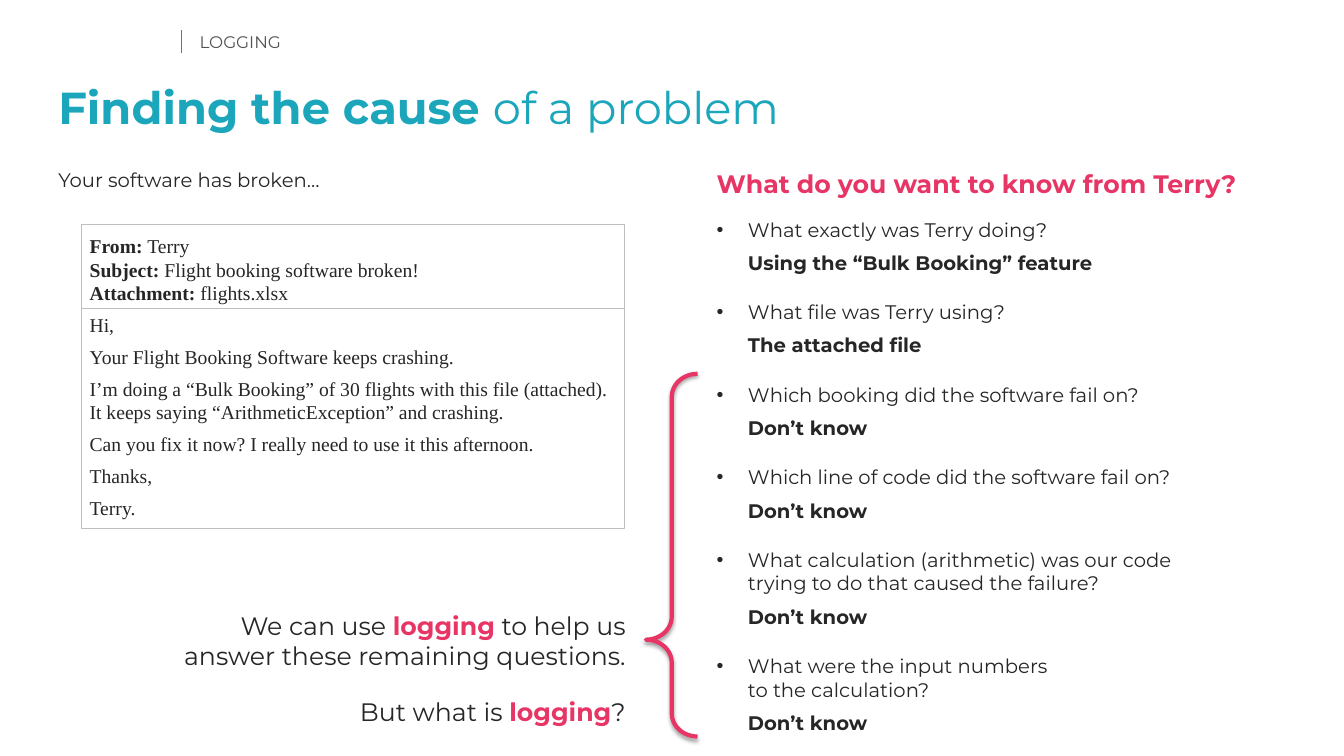
from dataclasses import dataclass

from lxml import etree
from pptx import Presentation
from pptx.dml.color import RGBColor
from pptx.enum.shapes import MSO_CONNECTOR, MSO_SHAPE
from pptx.enum.text import MSO_ANCHOR, MSO_AUTO_SIZE, PP_ALIGN
from pptx.oxml import parse_xml
from pptx.oxml.ns import nsdecls, qn
from pptx.util import Cm, Pt

LEFT, RIGHT = PP_ALIGN.LEFT, PP_ALIGN.RIGHT
TOP, MIDDLE = MSO_ANCHOR.TOP, MSO_ANCHOR.MIDDLE
NO_FIT = MSO_AUTO_SIZE.NONE
STRAIGHT = MSO_CONNECTOR.STRAIGHT
RECT, BRACE = MSO_SHAPE.RECTANGLE, MSO_SHAPE.LEFT_BRACE


@dataclass(frozen=True)
class Theme:
    """Fonts, colours and type sizes of the slide."""
    sans: str = "Montserrat"
    serif: str = "Times New Roman"
    text: str = "262626"
    muted: str = "535353"
    teal: str = "1BA6BC"
    rule: str = "1396AE"
    pink: str = "E73565"
    border: str = "BFBFBF"
    title: int = 32
    large: int = 18
    body: int = 14
    small: int = 12


T = Theme()

EMAIL = [
    ("**From:** Terry", 0),
    ("**Subject:** Flight booking software broken!", 0),
    ("**Attachment:** flights.xlsx", 6),
    ("Hi,", 6),
    ("Your Flight Booking Software keeps crashing.", 6),
    ("I’m doing a “Bulk Booking” of 30 flights with this file (attached).", 0),
    ("It keeps saying “ArithmeticException” and crashing.", 6),
    ("Can you fix it now? I really need to use it this afternoon.", 6),
    ("Thanks,", 6),
    ("Terry.", 6),
]

QUESTIONS = [
    ("What exactly was Terry doing?", "Using the “Bulk Booking” feature", 12.62, 1),
    ("What file was Terry using?", "The attached file", 12.62, 1),
    ("Which booking did the software fail on?", "Don’t know", 12.62, 1),
    ("Which line of code did the software fail on?", "Don’t know", 12.62, 1),
    ("What calculation (arithmetic) was our code trying to do that caused the failure?",
     "Don’t know", 12.07, 2),
    ("What were the input numbers to the calculation?", "Don’t know", 8.61, 2),
]


def color(code):
    """Turn a hex code into a colour."""
    return RGBColor.from_string(code)


def write(p, text, size, ink=T.text, strong=None, font=T.sans, align=LEFT):
    """Fill a paragraph, with the parts between double stars in bold."""
    p.alignment = align
    for i, part in enumerate(text.split("**")):
        if part:
            r = p.add_run()
            r.text = part
            r.font.name, r.font.size, r.font.bold = font, Pt(size), i % 2 == 1
            r.font.color.rgb = color(strong if strong and i % 2 else ink)


def set_frame(tf, inset=0, anchor=TOP):
    """Wrap a text frame and set its insets and anchor."""
    tf.word_wrap, tf.auto_size, tf.vertical_anchor = True, NO_FIT, anchor
    tf.margin_left = tf.margin_right = tf.margin_top = tf.margin_bottom = Cm(inset)
    return tf


def add_text(s, box, text, size, **style):
    """Add a one-paragraph text box and return its frame."""
    tf = set_frame(s.shapes.add_textbox(*map(Cm, box)).text_frame)
    write(tf.paragraphs[0], text, size, **style)
    return tf


def add_line(s, x1, y1, x2, y2, ink, width):
    """Add a straight line without a shadow."""
    line = s.shapes.add_connector(STRAIGHT, Cm(x1), Cm(y1), Cm(x2), Cm(y2))
    line.line.color.rgb, line.line.width = color(ink), Pt(width)
    etree.SubElement(line._element.spPr, qn("a:effectLst"))


def add_header(s, x, y, w):
    """Place the section label with its rule, and the title."""
    add_line(s, x + 3.1, y, x + 3.1, y + 0.58, T.rule, 1)
    tf = add_text(s, (x + 3.56, y + 0.1, 23.8, 0.48), "LOGGING", T.small, ink=T.muted)
    tf.paragraphs[0].line_spacing = 0.9
    title = s.shapes.title
    title.left, title.top, title.width, title.height = Cm(x), Cm(y + 1.4), Cm(w), Cm(1.22)
    p = set_frame(title.text_frame).paragraphs[0]
    write(p, "**Finding the cause **of a problem", T.title, ink=T.teal)
    p.line_spacing = 0.9


def add_email(s, x, y, w, h):
    """Place the framed e-mail with a rule under its header."""
    sp = s.shapes.add_shape(RECT, Cm(x), Cm(y), Cm(w), Cm(h))
    sp.shadow.inherit = False
    sp.fill.background()
    sp.line.color.rgb, sp.line.width = color(T.border), Pt(0.75)
    tf = set_frame(sp.text_frame, 0.2, MIDDLE)
    for i, (text, after) in enumerate(EMAIL):
        p = tf.add_paragraph() if i else tf.paragraphs[0]
        write(p, text, T.body, font=T.serif)
        p.space_after = Pt(after)
    add_line(s, x, y + 2.11, x + w, y + 2.11, T.border, 0.5)


def add_question(s, box, question, answer):
    """Place one bulleted question with its answer below."""
    tf = add_text(s, box, question, T.body)
    p = tf.add_paragraph()
    write(p, f"**{answer}**", T.body)
    p.space_before = Pt(7)
    for p, hang in zip(tf.paragraphs, (Cm(0.79), 0)):
        pPr = p._p.get_or_add_pPr()
        pPr.set("marL", str(Cm(0.79)))
        pPr.set("indent", str(-hang))
        if hang:
            etree.SubElement(pPr, qn("a:buFont"), typeface="Arial")
            etree.SubElement(pPr, qn("a:buChar"), char="•")


def add_questions(s, x, y, w):
    """Place the heading and stack the questions with equal gaps."""
    add_text(s, (x, y, w, 0.77), "**What do you want to know from Terry?**",
             T.large, ink=T.pink)
    top = y + 1.24
    for question, answer, width, lines in QUESTIONS:
        height = 0.84 + 0.61 * lines
        add_question(s, (x, top, width, height), question, answer)
        top += height + 0.63


def add_brace(s, x, y, w, h):
    """Place the shadowed brace beside the open questions."""
    sp = s.shapes.add_shape(BRACE, Cm(x), Cm(y), Cm(w), Cm(h))
    sp.adjustments[0], sp.adjustments[1] = 0.447, 0.733
    sp.fill.background()
    sp.line.color.rgb, sp.line.width = color(T.pink), Pt(3)
    sp._element.spPr.append(parse_xml(
        f'<a:effectLst {nsdecls("a")}><a:outerShdw blurRad="{Pt(3.1)}" dist="{Pt(1.6)}" '
        'dir="5400000" rotWithShape="0"><a:srgbClr val="000000"><a:alpha val="38000"/>'
        '</a:srgbClr></a:outerShdw></a:effectLst>'))


def add_conclusion(s, x, y, w):
    """Place the two right-aligned closing remarks."""
    style = {"strong": T.pink, "align": RIGHT}
    add_text(s, (x, y, w, 1.55),
             "We can use **logging** to help us answer these remaining questions.",
             T.large, **style)
    add_text(s, (x, y + 2.18, w, 0.77), "But what is **logging**?", T.large, **style)


def main():
    """Build and save the slide."""
    prs = Presentation()
    prs.slide_width, prs.slide_height = Cm(33.87), Cm(19.05)
    s = prs.slides.add_slide(prs.slide_layouts[5])
    add_header(s, 1.47, 0.76, 30.78)
    add_text(s, (1.47, 4.24, 12.17, 0.61), "Your software has broken…", T.body)
    add_email(s, 2.06, 5.66, 13.67, 7.67)
    add_questions(s, 18.06, 4.24, 13.97)
    add_brace(s, 16.28, 9.42, 1.3, 9.14)
    add_conclusion(s, 4.09, 15.37, 11.68)
    prs.save("out.pptx")


if __name__ == "__main__":
    main()
